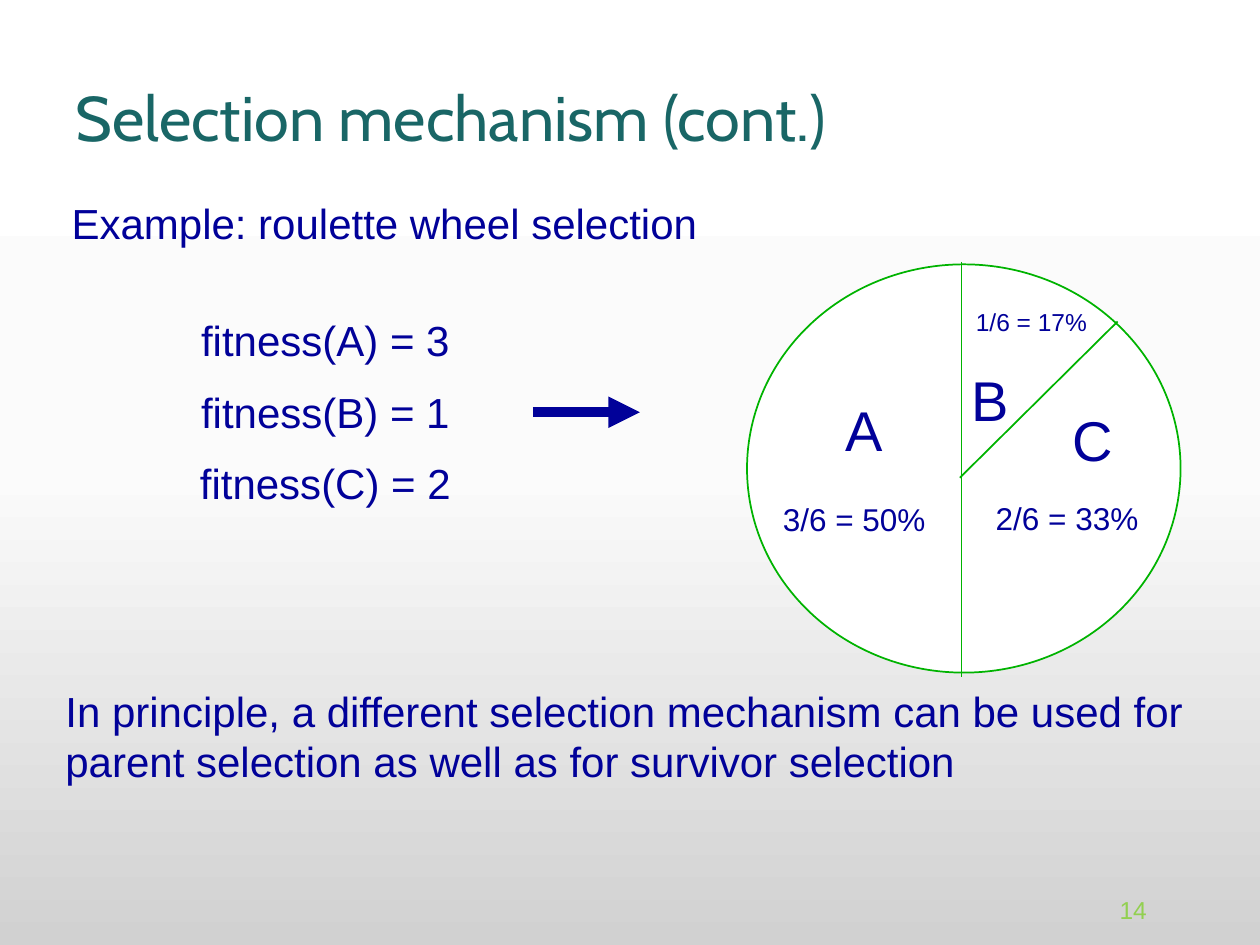
from copy import deepcopy

from pptx import Presentation
from pptx.dml.color import RGBColor
from pptx.enum.shapes import MSO_CONNECTOR, MSO_SHAPE
from pptx.enum.text import MSO_ANCHOR, PP_ALIGN
from pptx.oxml.ns import qn
from pptx.util import Cm, Pt
from lxml.etree import SubElement

NAVY = RGBColor(0x01, 0x01, 0x99)
GREEN = RGBColor(0x00, 0xB3, 0x00)
TEAL = RGBColor(0x19, 0x66, 0x66)
LIME = RGBColor(0x92, 0xD0, 0x50)
WHITE = RGBColor(0xFF, 0xFF, 0xFF)
BACKGROUND = [(0, WHITE), (0.5, RGBColor(0xFB, 0xFB, 0xFB)),
              (1, RGBColor(0xD1, 0xD1, 0xD1))]

TITLE = "Selection mechanism (cont.)"
EXAMPLE = "Example: roulette wheel selection"
FITNESS = ["fitness(A) = 3", "fitness(B) = 1", "fitness(C) = 2"]
CONCLUSION = ["In principle, a different selection mechanism can be used for",
              "parent selection as well as for survivor selection"]
PAGE = "14"

FITNESS_LEFT, FITNESS_TOP, FITNESS_PITCH = 3.78, 6.22, 1.44
WHEEL = (15.06, 5.33, 8.74, 8.23)
# text, size, box, white backing
WHEEL_LABELS = [
    ("A", 32, (16.81, 7.85, 1.24, 1.63), True),
    ("C", 32, (21.36, 8.05, 1.32, 1.63), True),
    ("1/6 = 17%", 14, (19.41, 6.07, 2.77, 0.84), False),
    ("3/6 = 50%", 18, (15.52, 9.96, 3.4, 1.02), True),
    ("B", 32, (19.33, 7.24, 1.27, 1.63), True),
    ("2/6 = 33%", 18, (19.81, 9.93, 3.4, 1.02), True),
]
SPOKES = [(19.35, 9.63, 22.53, 6.48), (19.38, 5.28, 19.38, 13.64)]
ARROW = (10.74, 8.31, 12.9, 8.31)


def cm(box):
    return [Cm(v) for v in box]


def write(tf, lines, size, color=NAVY, font="Arial", align=PP_ALIGN.CENTER,
          anchor=MSO_ANCHOR.TOP, wrap=False):
    tf.text = "\n".join(lines)
    tf.word_wrap = wrap
    tf.vertical_anchor = anchor
    for p in tf.paragraphs:
        p.alignment = align
        for r in p.runs:
            r.font.size = Pt(size)
            r.font.name = font
            r.font.color.rgb = color


def add_text(s, lines, box, size, **style):
    write(s.shapes.add_textbox(*cm(box)).text_frame, lines, size, **style)


def add_white_shape(s, kind, box, line_color):
    sp = s.shapes.add_shape(kind, *cm(box))
    sp.shadow.inherit = False
    sp.fill.solid()
    sp.fill.fore_color.rgb = WHITE
    sp.line.color.rgb = line_color
    sp.line.width = Pt(1)
    return sp


def add_line(s, ends, color, width):
    line = s.shapes.add_connector(MSO_CONNECTOR.STRAIGHT, *cm(ends))
    line.line.color.rgb = color
    line.line.width = Pt(width)
    SubElement(line._element.spPr, qn("a:effectLst"))
    return line


def set_background(s):
    fill = s.background.fill
    fill.gradient()
    fill.gradient_angle = 270
    stops = s._element.find(".//" + qn("a:gsLst"))
    stops.append(deepcopy(stops[0]))
    for stop, (position, color) in zip(fill.gradient_stops, BACKGROUND):
        stop.position = position
        stop.color.rgb = color


def main():
    prs = Presentation()
    prs.slide_width, prs.slide_height = Cm(25.4), Cm(19.05)
    s = prs.slides.add_slide(prs.slide_layouts[5])
    set_background(s)

    title = s.shapes.title
    title.left, title.top, title.width, title.height = cm((1.27, 0.81, 22.86, 3.05))
    write(title.text_frame, [TITLE], 36, TEAL, "Cabin", PP_ALIGN.LEFT,
          MSO_ANCHOR.MIDDLE, True)

    add_text(s, [EXAMPLE], (1.12, 3.86, 13.26, 1.27), 24)
    for i, text in enumerate(FITNESS):
        top = FITNESS_TOP + i * FITNESS_PITCH
        add_text(s, [text], (FITNESS_LEFT, top, 5.56, 1.27), 24)

    arrow = add_line(s, ARROW, NAVY, 6)
    SubElement(arrow.line._get_or_add_ln(), qn("a:tailEnd"), type="triangle")

    add_white_shape(s, MSO_SHAPE.OVAL, WHEEL, GREEN)
    for text, size, box, backed in WHEEL_LABELS:
        if backed:
            sp = add_white_shape(s, MSO_SHAPE.RECTANGLE, box, WHITE)
            write(sp.text_frame, [text], size)
        else:
            add_text(s, [text], box, size)
    for spoke in SPOKES:
        add_line(s, spoke, GREEN, 1)

    add_text(s, CONCLUSION, (1.07, 13.69, 23.5, 3.33), 24,
             align=PP_ALIGN.LEFT, wrap=True)
    add_text(s, [PAGE], (21.87, 17.37, 1.5, 1.4), 14, color=LIME,
             align=PP_ALIGN.RIGHT, anchor=MSO_ANCHOR.BOTTOM, wrap=True)
    prs.save("out.pptx")


if __name__ == "__main__":
    main()
